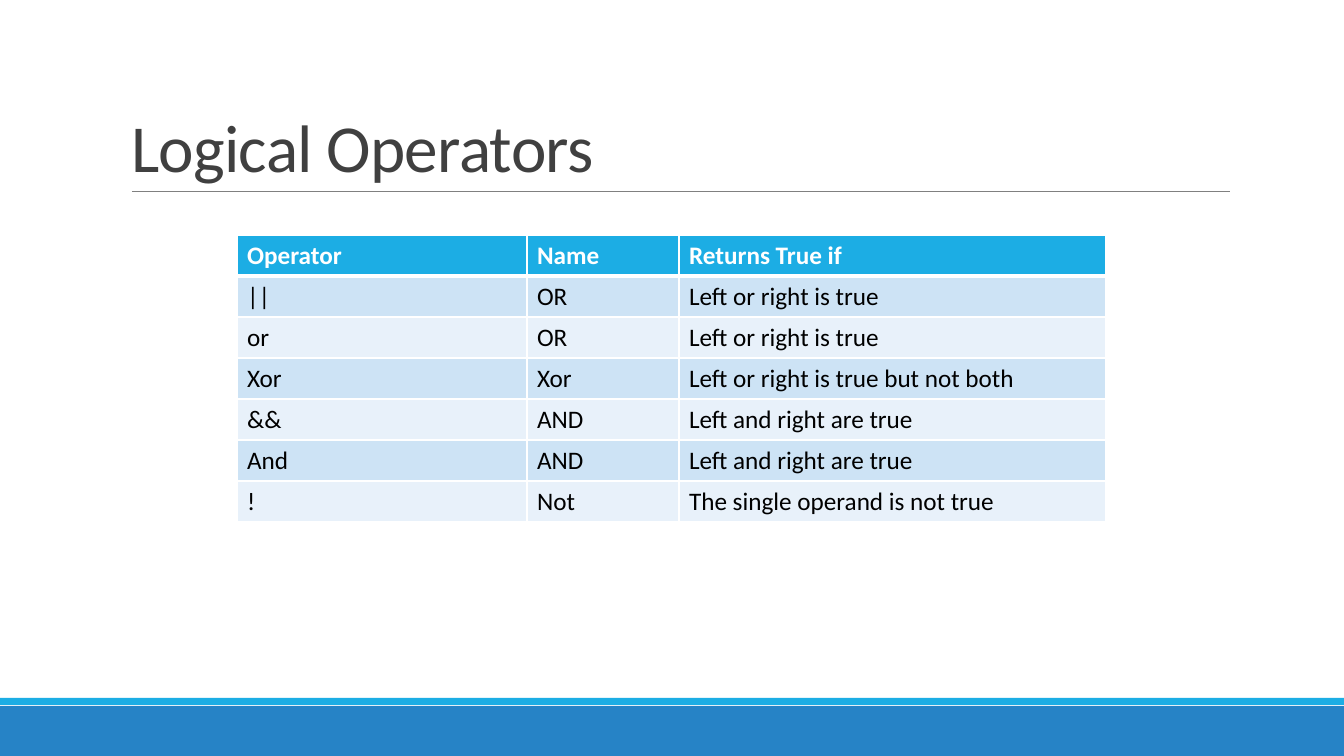
from lxml.etree import SubElement
from pptx import Presentation
from pptx.dml.color import RGBColor
from pptx.enum.shapes import MSO_CONNECTOR, MSO_SHAPE
from pptx.enum.text import MSO_ANCHOR, MSO_AUTO_SIZE, PP_ALIGN
from pptx.oxml.ns import qn
from pptx.util import Emu, Pt

PIXEL = 914400 / 100.8
WIDTH, HEIGHT = 1344, 756
FONT = "Calibri"
WHITE = RGBColor(0xFF, 0xFF, 0xFF)
BLACK = RGBColor(0, 0, 0)
GRAY = RGBColor(0x80, 0x80, 0x80)
TITLE_GRAY = RGBColor(0x40, 0x40, 0x40)
CYAN = RGBColor(0x1C, 0xAD, 0xE4)
BLUE = RGBColor(0x26, 0x83, 0xC6)
BANDS = (RGBColor(0xE8, 0xF1, 0xFA), RGBColor(0xCD, 0xE3, 0xF5))

OPERATORS = [
    ("Operator", "Name", "Returns True if"),
    ("||", "OR", "Left or right is true"),
    ("or", "OR", "Left or right is true"),
    ("Xor", "Xor", "Left or right is true but not both"),
    ("&&", "AND", "Left and right are true"),
    ("And", "AND", "Left and right are true"),
    ("!", "Not", "The single operand is not true"),
]


def px(*lengths):
    return [Emu(round(length * PIXEL)) for length in lengths]


class SlideBuilder:
    """Draws styled elements on one slide, with lengths in pixels."""

    def __init__(self, slide):
        self.slide = slide

    def style(self, paragraph, size, color, bold=False):
        font = paragraph.font
        font.name, font.size, font.bold = FONT, Pt(size), bold
        font.color.rgb = color

    def title(self, text, left, top, width, height):
        shape = self.slide.shapes.title
        shape.left, shape.top, shape.width, shape.height = px(left, top, width, height)
        frame = shape.text_frame
        frame.text = text
        frame.auto_size = MSO_AUTO_SIZE.NONE
        frame.vertical_anchor = MSO_ANCHOR.BOTTOM
        paragraph = frame.paragraphs[0]
        paragraph.alignment = PP_ALIGN.LEFT
        paragraph.line_spacing = 0.85
        self.style(paragraph, 48, TITLE_GRAY)
        paragraph.runs[0]._r.get_or_add_rPr().set("spc", "-50")

    def bar(self, top, height, color):
        shape = self.slide.shapes.add_shape(MSO_SHAPE.RECTANGLE, *px(0, top, WIDTH, height))
        shape.shadow.inherit = False
        shape.fill.solid()
        shape.fill.fore_color.rgb = color
        shape.line.fill.background()

    def rule(self, left, right, y):
        line = self.slide.shapes.add_connector(MSO_CONNECTOR.STRAIGHT, *px(left, y, right, y))
        line.line.color.rgb = GRAY
        line.line.width = Pt(0.5)
        SubElement(line._element.spPr, qn("a:effectLst"))

    def border(self, cell, side, points):
        properties = cell._tc.get_or_add_tcPr()
        line = SubElement(properties, qn(f"a:ln{side}"), w=str(Pt(points)))
        fill = SubElement(line, qn("a:solidFill"))
        SubElement(fill, qn("a:srgbClr"), val=str(WHITE))

    def cell(self, cell, text, row):
        header = row == 0
        for side in "LRTB":
            thick = (header and side == "B") or (row == 1 and side == "T")
            self.border(cell, side, 3 if thick else 1)
        cell.fill.solid()
        cell.fill.fore_color.rgb = CYAN if header else BANDS[row % 2]
        cell.text = text
        self.style(cell.text_frame.paragraphs[0], 18, WHITE if header else BLACK, header)

    def table(self, rows, left, top, widths, row_height):
        frame = self.slide.shapes.add_table(
            len(rows), len(widths), *px(left, top, sum(widths), row_height * len(rows)))
        table = frame.table
        for column, width in zip(table.columns, px(*widths)):
            column.width = width
        for index, texts in enumerate(rows):
            table.rows[index].height = px(row_height)[0]
            for column, text in enumerate(texts):
                self.cell(table.cell(index, column), text, index)


presentation = Presentation()
presentation.slide_width, presentation.slide_height = px(WIDTH, HEIGHT)
builder = SlideBuilder(presentation.slides.add_slide(presentation.slide_layouts[5]))
builder.bar(706, 50, BLUE)
builder.bar(698, 7, CYAN)
builder.rule(132, 1230, 191)
builder.title("Logical Operators", 121, 31, 1109, 160)
builder.table(OPERATORS, 237, 235, (290, 152, 427), 41)
presentation.save("out.pptx")
